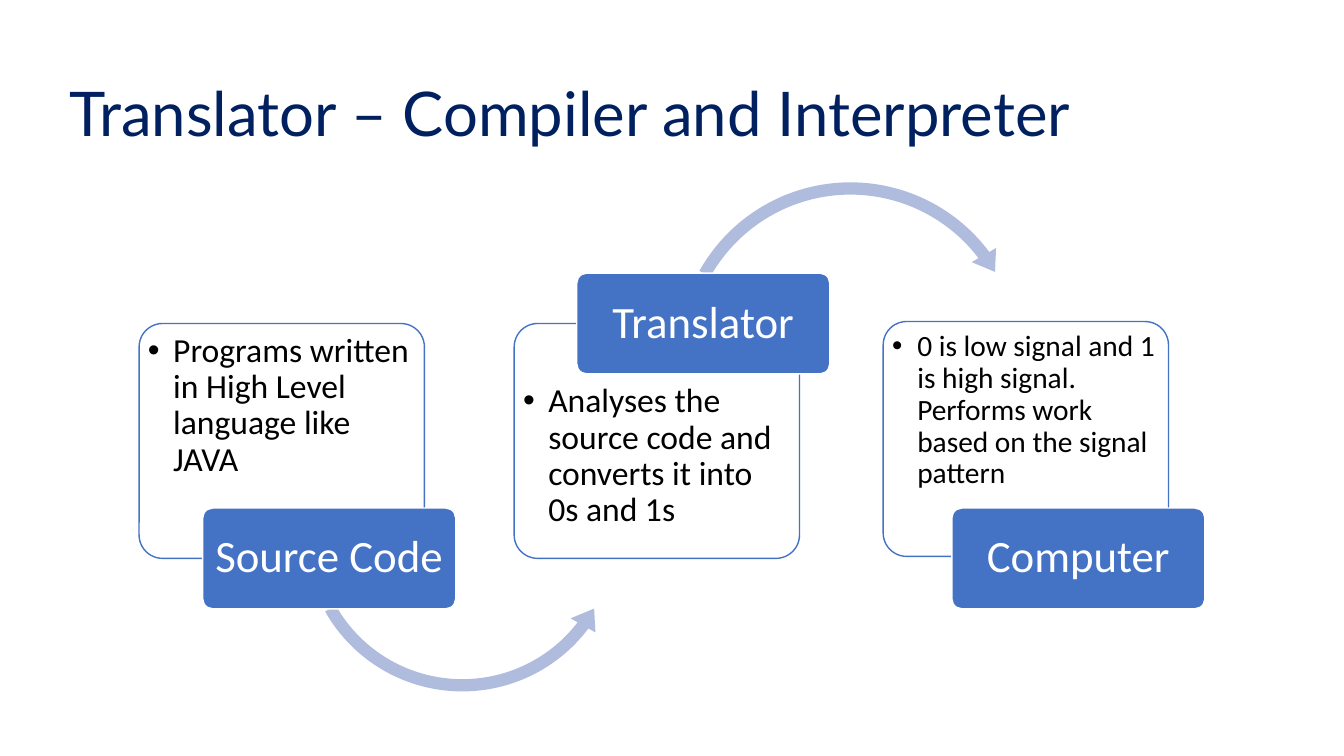
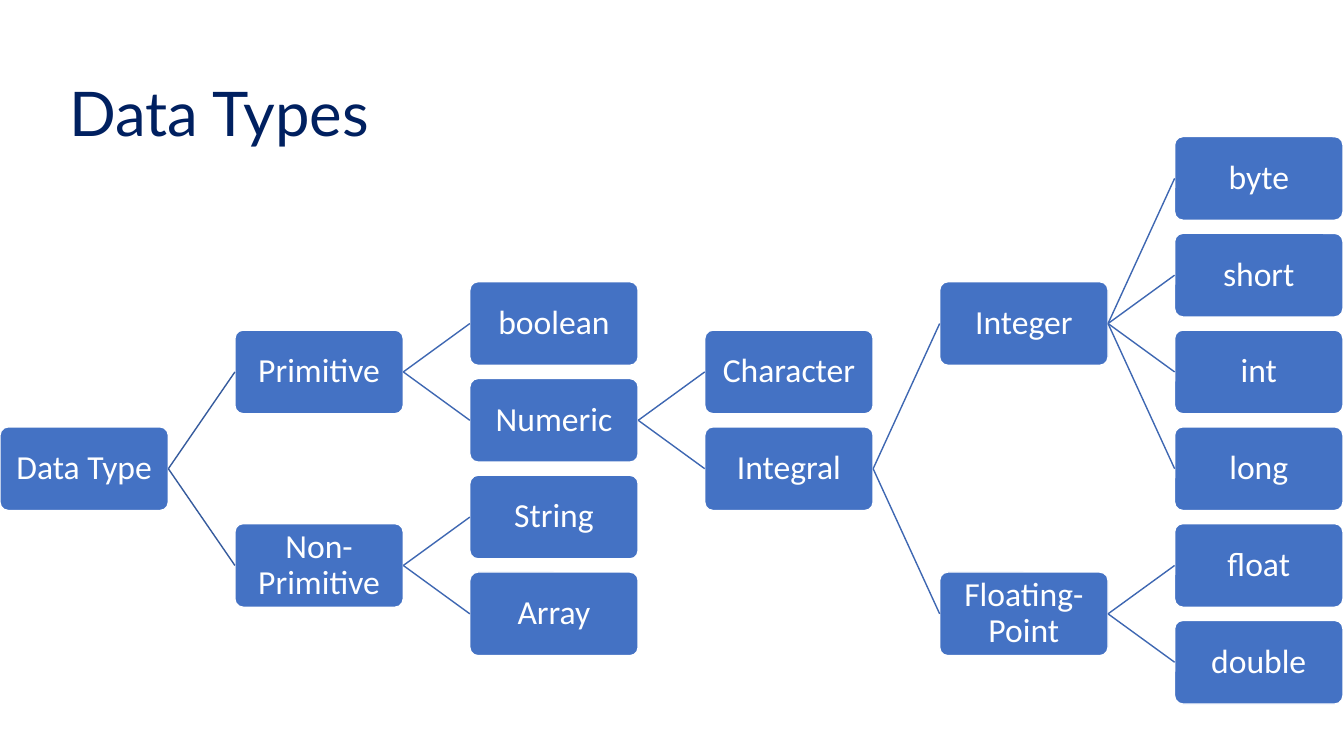
from lxml.etree import SubElement
from pptx import Presentation
from pptx.dml.color import RGBColor
from pptx.enum.shapes import MSO_CONNECTOR as Connector, MSO_SHAPE as Shape
from pptx.enum.text import MSO_ANCHOR as Anchor, PP_ALIGN as Align
from pptx.oxml.ns import qn
from pptx.util import Inches, Pt

BLUE, PALE, WHITE, BLACK, NAVY = "4472C4", "B0BCDE", "FFFFFF", "000000", "002060"
ROOT_LINK, LINK = "365B9D", "3E67B2"

TITLE_BOX = (0.59, 0.43, 11.5, 1.45)
CARD_SIZE = (2.83, 2.33)
LABEL_SIZE = (2.51, 1)
NODE_SIZE = (1.67, 0.83)
COLUMN_STEP, ROW_STEP = 2.33, 0.96

STAGES = [
    {"card": (1.38, 3.21), "label": (2.01, 5.04), "name": "Source Code", "size": 24, "top": 0.03,
     "text": "Programs written in High Level language like JAVA",
     "arrow": (Shape.LEFT_CIRCULAR_ARROW, (2.94, 3.65, 3.29, 3.29),
               (0.037, 4.574, 22.329, 90.245, 0.043))},
    {"card": (5.1, 3.21), "label": (5.72, 2.71), "name": "Translator", "size": 24, "top": 0.53,
     "text": "Analyses the source code and converts it into 0s and 1s",
     "arrow": (Shape.CIRCULAR_ARROW, (6.64, 1.73, 3.59, 3.59),
               (0.034, 4.163, 193.84, 125.513, 0.039))},
    {"card": (8.76, 3.19), "label": (9.44, 5.04), "name": "Computer", "size": 21, "top": 0.03,
     "text": "0 is low signal and 1 is high signal. Performs work based on the signal pattern",
     "arrow": None},
]


def leaves(*names):
    """Return tree nodes without children."""
    return [(name, 1, []) for name in names]


INTEGRAL = ("Integral", 3, [
    ("Integer", 1, leaves("byte", "short", "int", "long")),
    ("Floating-Point", 1, leaves("float", "double")),
])
NUMERIC = ("Numeric", 1, leaves("Character") + [INTEGRAL])
DATA_TYPES = ("Data Type", 2, [
    ("Primitive", 1, leaves("boolean") + [NUMERIC]),
    ("Non-Primitive", 1, leaves("String", "Array")),
])


def color(value):
    """Turn a hex string into a colour."""
    return RGBColor.from_string(value)


def apply(target, values):
    """Set each attribute named in values."""
    for name, value in values.items():
        setattr(target, name, value)


def write(shape, text, font, size, text_color, align, margins):
    """Write one formatted paragraph, with margins left, top, right, bottom."""
    frame = shape.text_frame
    sides = ("margin_left", "margin_top", "margin_right", "margin_bottom")
    apply(frame, {"text": text, "word_wrap": True})
    apply(frame, dict(zip(sides, map(Inches, margins))))
    paragraph = frame.paragraphs[0]
    apply(paragraph, {"alignment": align, "line_spacing": 0.9})
    run_font = paragraph.runs[0].font
    apply(run_font, {"name": font, "size": Pt(size)})
    run_font.color.rgb = color(text_color)
    return paragraph


def add_figure(slide, kind, box, fill, line, adjustments):
    """Add a flat preset shape in the given box."""
    shape = slide.shapes.add_shape(kind, *map(Inches, box))
    shape.shadow.inherit = False
    shape.fill.solid()
    shape.fill.fore_color.rgb = color(fill)
    if line:
        shape.line.width = Pt(1)
        shape.line.color.rgb = color(line)
    else:
        shape.line.fill.background()
    for index, value in enumerate(adjustments):
        shape.adjustments[index] = value
    return shape


def add_block(slide, box, text, size, side_margin):
    """Add a blue rounded block with centred white text."""
    block = add_figure(slide, Shape.ROUNDED_RECTANGLE, box, BLUE, WHITE, [0.1])
    write(block, text, "Calibri", size, WHITE, Align.CENTER,
          (side_margin, 0.02, side_margin, 0.02))
    block.text_frame.vertical_anchor = Anchor.MIDDLE
    return block


def add_card(slide, box, text, size, top):
    """Add an outlined card with one bullet starting below its top."""
    card = add_figure(slide, Shape.ROUNDED_RECTANGLE, box, WHITE, BLUE, [0.1])
    paragraph = write(card, text, "Calibri", size, BLACK, Align.LEFT, (0.02, top, 0.03, 0.02))
    card.text_frame.vertical_anchor = Anchor.TOP
    properties = paragraph._p.get_or_add_pPr()
    properties.set("marL", str(Inches(0.25)))
    properties.set("indent", str(Inches(-0.25)))
    SubElement(properties, qn("a:buFont")).set("typeface", "Arial")
    SubElement(properties, qn("a:buChar")).set("char", "•")


def add_stage(slide, stage):
    """Add a card, the arrow leading onward and the label over the card."""
    add_card(slide, stage["card"] + CARD_SIZE, stage["text"], stage["size"], stage["top"])
    if stage["arrow"]:
        kind, box, adjustments = stage["arrow"]
        add_figure(slide, kind, box, PALE, None, adjustments)
    add_block(slide, stage["label"] + LABEL_SIZE, stage["name"], 32, 0.06)


def add_link(slide, parent, child, line):
    """Join the right side of parent to the left side of child."""
    link = slide.shapes.add_connector(Connector.STRAIGHT, 0, 0, 0, 0)
    link.begin_connect(parent, 3)
    link.end_connect(child, 1)
    link.line.width = Pt(1)
    link.line.color.rgb = color(line)
    SubElement(link._element.spPr, qn("a:effectLst"))


def add_tree(slide, node, left, middle, line=ROOT_LINK):
    """Add a node and its children, centred on it in the next column."""
    name, gap, children = node
    width, height = NODE_SIZE
    block = add_block(slide, (left, middle - height / 2, width, height), name, 24, 0.02)
    for index, child in enumerate(children):
        offset = (index - (len(children) - 1) / 2) * gap * ROW_STEP
        child_block = add_tree(slide, child, left + COLUMN_STEP, middle + offset, LINK)
        add_link(slide, block, child_block, line)
    return block


def add_titled_slide(presentation, text):
    """Add a slide with the shared title style."""
    slide = presentation.slides.add_slide(presentation.slide_layouts[5])
    title = slide.shapes.title
    apply(title, dict(zip(("left", "top", "width", "height"), map(Inches, TITLE_BOX))))
    write(title, text, "Lato", 44, NAVY, Align.LEFT, (0.1, 0.05, 0.1, 0.05))
    title.text_frame.vertical_anchor = Anchor.MIDDLE
    return slide


def main():
    """Build and save the presentation."""
    presentation = Presentation()
    apply(presentation, {"slide_width": Inches(13.33), "slide_height": Inches(7.5)})
    translator_slide = add_titled_slide(presentation, "Translator – Compiler and Interpreter")
    for stage in STAGES:
        add_stage(translator_slide, stage)
    types_slide = add_titled_slide(presentation, "Data Types")
    add_tree(types_slide, DATA_TYPES, 0, 4.65)
    presentation.save("out.pptx")


if __name__ == "__main__":
    main()
